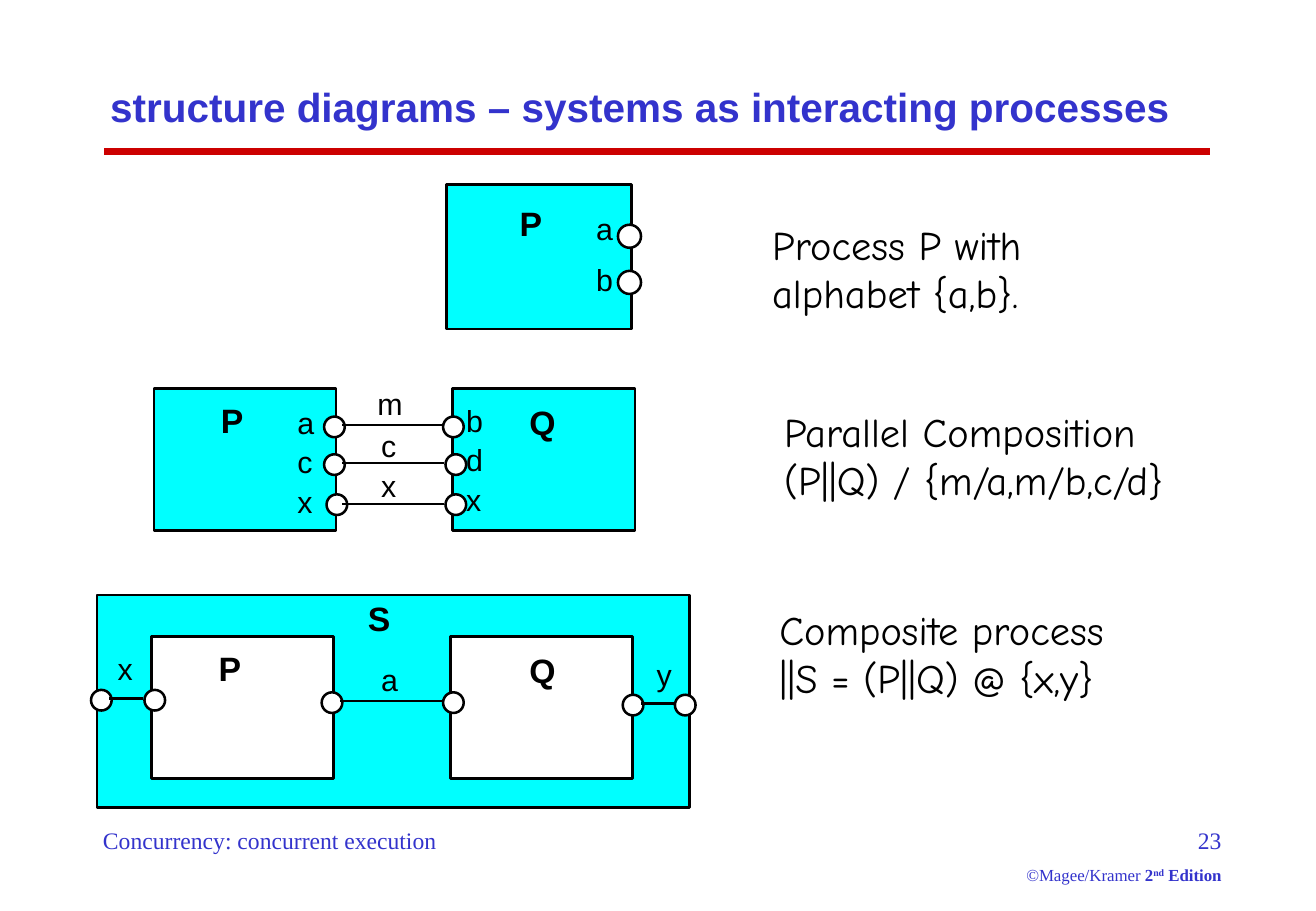
import pptx
import pptx.dml.color
import pptx.enum.shapes
import pptx.enum.text
import pptx.util
import lxml.etree

SCALE = 9144
BLACK, WHITE, CYAN, BLUE, RED = "000000", "FFFFFF", "00FFFF", "3333CC", "CC0000"
PORT_SIZE = 17
PROCESS_SIZE = (150, 117)
Q_NAME_LEFT = 436
ALIGN = pptx.enum.text.PP_ALIGN
ANCHOR = pptx.enum.text.MSO_ANCHOR
SHAPE = pptx.enum.shapes.MSO_SHAPE


def px(*lengths):
    return [pptx.util.Emu(length * SCALE) for length in lengths]


def color(value):
    return pptx.dml.color.RGBColor.from_string(value)


def style_font(font, name, size, hue, bold=False):
    font.name = name
    font.size = pptx.util.Pt(size)
    font.color.rgb = color(hue)
    font.bold = bold


def add_text(page, bounds, lines, name, size, hue=BLACK, bold=False,
             inset=(0, 0), wrap=False, align=ALIGN.LEFT, anchor=ANCHOR.TOP):
    box = page.shapes.add_textbox(*px(*bounds))
    frame = box.text_frame
    frame.margin_left = frame.margin_right = px(inset[0])[0]
    frame.margin_top = frame.margin_bottom = px(inset[1])[0]
    frame.word_wrap = wrap
    frame.vertical_anchor = anchor
    frame.text = "\n".join(lines)
    for para in frame.paragraphs:
        para.alignment = align
        for span in para.runs:
            style_font(span.font, name, size, hue, bold)
    return frame


def add_figure(page, kind, bounds, fill):
    figure = page.shapes.add_shape(kind, *px(*bounds))
    figure.shadow.inherit = False
    figure.fill.solid()
    figure.fill.fore_color.rgb = color(fill)
    figure.line.color.rgb = color(BLACK)
    figure.line.width = pptx.util.Pt(1.5)


def add_port(page, left, top, size=PORT_SIZE):
    add_figure(page, SHAPE.OVAL, (left, top, size, size), WHITE)


def add_line(page, left, right, y, hue=BLACK, width=1.5):
    line = page.shapes.add_connector(
        pptx.enum.shapes.MSO_CONNECTOR.STRAIGHT, *px(left, y, right, y))
    line.line.color.rgb = color(hue)
    line.line.width = pptx.util.Pt(width)
    lxml.etree.SubElement(line._element.spPr, pptx.oxml.ns.qn("a:effectLst"))


def add_name(page, left, top, name):
    add_text(page, (left, top, 22, 33), [name], "Arial", 20, bold=True)


def add_label(page, left, top, action):
    width = 21 if action == "m" else 14
    add_text(page, (left, top, width, 30), [action], "Arial", 18)


def add_caption(page, left, top, width, lines):
    add_text(page, (left, top, width, 80), lines, "Comic Neue", 24)


def add_pair(page, left, top, fill):
    for process_left, name_left, drop, name in (
            (left, left + 55, 9, "P"), (left + 246, Q_NAME_LEFT, 11, "Q")):
        add_figure(page, SHAPE.RECTANGLE, (process_left, top, *PROCESS_SIZE), fill)
        add_name(page, name_left, top + drop, name)


def draw_frame(page):
    add_line(page, 86, 997, 125, RED, 4)
    add_text(page, (81, 50, 927, 75),
             ["structure diagrams – systems as interacting processes"],
             "Arial", 24, BLUE, True, (10, 5), True, anchor=ANCHOR.MIDDLE)
    add_text(page, (75, 675, 342, 34), ["Concurrency: concurrent execution"],
             "Times New Roman", 14, BLUE, inset=(10, 5), wrap=True)
    frame = add_text(page, (825, 675, 191, 59), ["23", ""],
                     "Times New Roman", 14, BLUE, inset=(10, 5), wrap=True,
                     align=ALIGN.RIGHT)
    para = frame.paragraphs[1]
    para.space_before = pptx.util.Pt(6.2)
    for text, bold, raised in (("©Magee/Kramer ", False, False), ("2", True, False),
                               ("nd", True, True), (" Edition", True, False)):
        span = para.add_run()
        span.text = text
        style_font(span.font, "Times New Roman", 10, BLUE, bold)
        if raised:
            span._r.get_or_add_rPr().set("baseline", "30000")


def draw_process(page):
    add_figure(page, SHAPE.RECTANGLE, (368, 152, 152, 119), CYAN)
    add_name(page, 428, 167, "P")
    for action, port_top, label_top in (("a", 185, 173), ("b", 223, 215)):
        add_port(page, 509, port_top, 19)
        add_label(page, 491, label_top, action)
    add_caption(page, 636, 181, 298, ["Process P with", "alphabet {a,b}."])


def draw_parallel(page):
    add_pair(page, 127, 320, CYAN)
    channels = (
        ("a", "m", "b", 343, 267, 365, 350, 333, 311, 317, 331),
        ("c", "c", "d", 374, 267, 367, 381, 365, 314, 352, 363),
        ("x", "x", "x", 407, 269, 367, 415, 398, 314, 385, 396),
    )
    for (source, shared, target, port_top, source_port, target_port, wire,
         source_top, shared_left, shared_top, target_top) in channels:
        add_port(page, source_port, port_top)
        add_port(page, target_port, port_top)
        add_line(page, 282, 366, wire)
        add_label(page, 245, source_top, source)
        add_label(page, shared_left, shared_top, shared)
        add_label(page, 384, target_top, target)
    add_caption(page, 646, 335, 319,
                ["Parallel Composition", "(P||Q) / {m/a,m/b,c/d}"])


def draw_composite(page):
    add_figure(page, SHAPE.RECTANGLE, (80, 490, 488, 175), CYAN)
    add_name(page, 303, 492, "S")
    add_pair(page, 125, 524, WHITE)
    for action, left_port, right_port, port_top, label_left, label_top in (
            ("x", 75, 119, 568, 97, 535),
            ("a", 265, 365, 570, 314, 544),
            ("y", 513, 556, 572, 541, 540)):
        add_port(page, left_port, port_top)
        add_port(page, right_port, port_top)
        add_line(page, left_port + 15, right_port - 1, port_top + 7)
        add_label(page, label_left, label_top, action)
    add_caption(page, 642, 498, 269, ["Composite process", "||S = (P||Q) @ {x,y}"])


def main():
    deck = pptx.Presentation()
    deck.slide_width, deck.slide_height = px(1084, 750)
    page = deck.slides.add_slide(deck.slide_layouts[6])
    draw_frame(page)
    draw_process(page)
    draw_parallel(page)
    draw_composite(page)
    deck.save("out.pptx")


if __name__ == "__main__":
    main()
